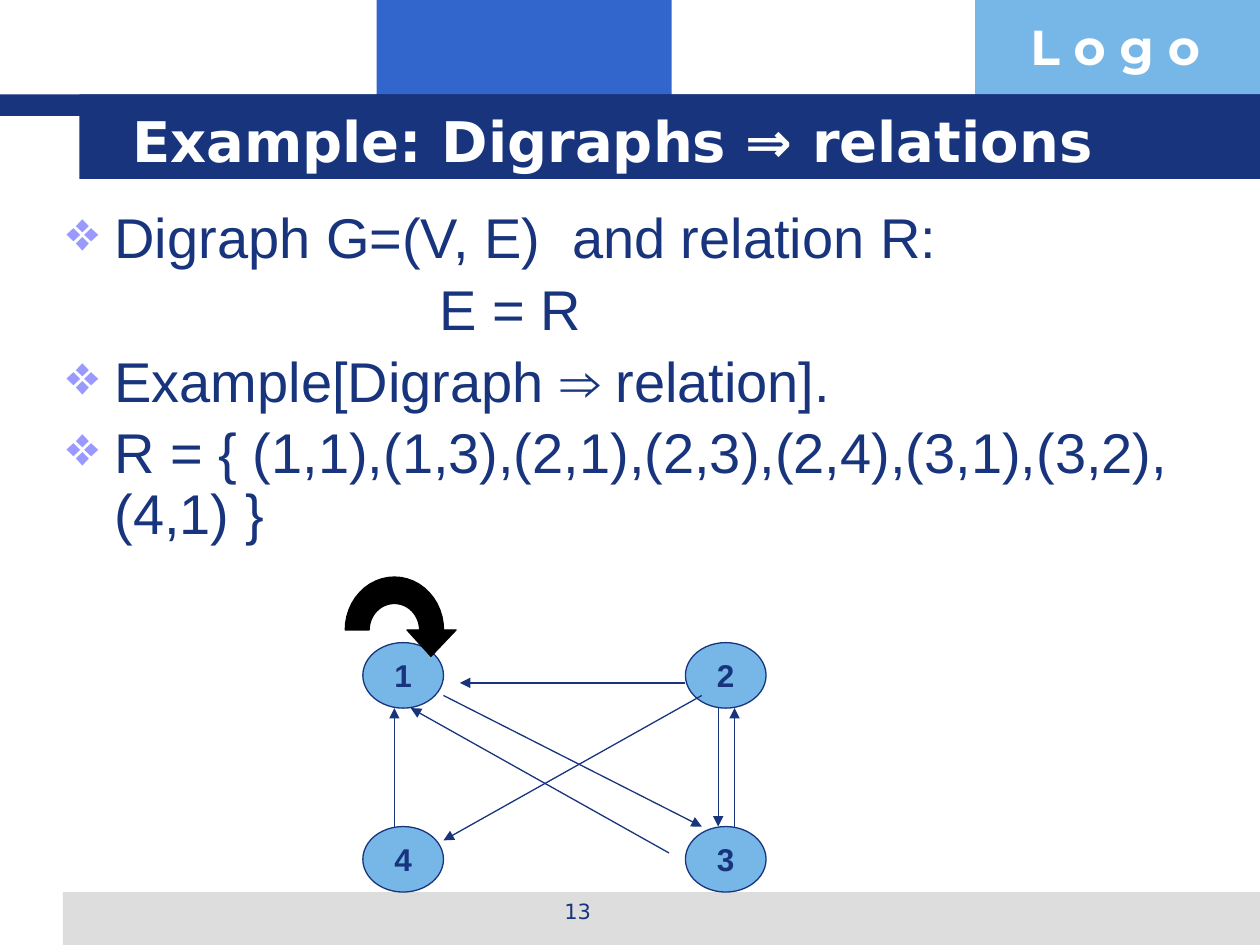
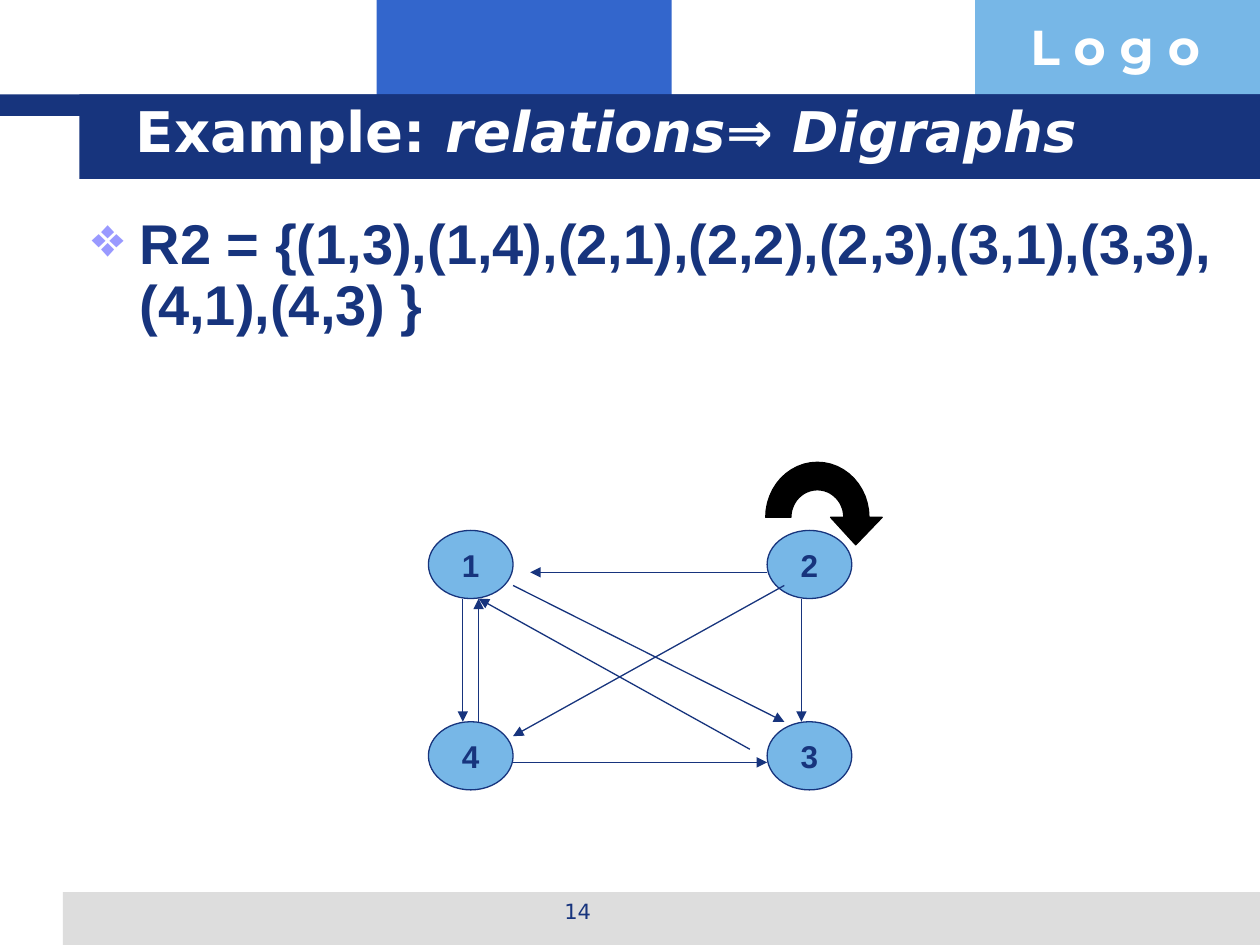
import math
import pptx
import pptx.dml.color
import pptx.enum.shapes
import pptx.enum.text
import pptx.oxml
import pptx.oxml.ns
import pptx.util
from pptx.util import Inches

COLORS = {"navy": "17347D", "blue": "3366CC", "sky": "77B7E7", "gray": "DDDDDD",
          "mark": "9999FF", "white": "FFFFFF", "black": "000000"}
SHAPE = pptx.enum.shapes.MSO_SHAPE
ALIGN = pptx.enum.text.PP_ALIGN
MIDDLE = pptx.enum.text.MSO_ANCHOR.MIDDLE
SPACE = "http://schemas.openxmlformats.org/drawingml/2006/main"

BANDS = [(2.99, 0, 2.34, 0.92, "blue"), (7.74, 0, 2.26, 0.92, "sky"),
         (0.5, 7.08, 9.5, 0.42, "gray"), (0, 0.75, 10, 0.17, "navy"),
         (0.63, 0.75, 9.37, 0.67, "navy")]
NODES = {"1": (0, 0), "2": (2.56, 0), "4": (0, 1.46), "3": (2.56, 1.46)}
EDGES = {"2-1": (2.56, 0.32, 0.77, 0.32), "2-3": (2.82, 0.52, 2.82, 1.46),
         "3-2": (2.95, 1.46, 2.95, 0.52), "1-3": (0.64, 0.42, 2.69, 1.46),
         "3-1": (2.43, 1.67, 0.38, 0.52), "2-4": (2.69, 0.42, 0.64, 1.57),
         "1-4": (0.26, 0.52, 0.26, 1.46), "4-3": (0.64, 1.77, 2.56, 1.77)}


def color(name):
    return pptx.dml.color.RGBColor.from_string(COLORS[name])


def element(text):
    return pptx.oxml.parse_xml(text.replace(" ", f' xmlns:a="{SPACE}" ', 1))


class Deck:
    def __init__(self):
        self.show = pptx.Presentation()
        self.show.slide_width, self.show.slide_height = Inches(10), Inches(7.5)

    def start(self, number, title, left, top):
        self.slide = self.show.slides.add_slide(self.show.slide_layouts[6])
        self.shapes = self.slide.shapes
        for *area, fill in BANDS:
            self.paint(self.shapes.add_shape(SHAPE.RECTANGLE, *map(Inches, area)), fill)
        logo = self.box(8.08, 0.08, 1.93, 0.57).paragraphs[0]
        self.label(logo, ["L o g o"], 28, "Montserrat", "white", True)
        page = self.box(3.42, 7.08, 2.33, 0.35).paragraphs[0]
        self.label(page, [str(number)], 12, "DejaVu Sans", align=ALIGN.CENTER)
        frame = self.box(left, top, 8.38, 0.62)
        frame.vertical_anchor = MIDDLE
        return self.label(frame.paragraphs[0], title, 32, "DejaVu Sans", "white", True)

    def paint(self, shape, fill, line=None):
        shape.shadow.inherit = False
        shape.fill.solid()
        shape.fill.fore_color.rgb = color(fill)
        if line:
            shape.line.color.rgb = color(line)
            shape.line.width = pptx.util.Pt(0.75)
        else:
            shape.line.fill.background()

    def box(self, *area):
        frame = self.shapes.add_textbox(*map(Inches, area)).text_frame
        frame.word_wrap = True
        return frame

    def label(self, para, parts, size, face="Arial", ink="navy", bold=False, align=None):
        for part in parts:
            para.add_run().text = part
        para.alignment = align
        font = para.font
        font.size, font.name, font.bold = pptx.util.Pt(size), face, bold
        font.color.rgb = color(ink)
        return para.runs

    def body(self, area, lines, bold=False):
        frame = self.box(*area)
        for index, (parts, indent) in enumerate(lines):
            para = frame.add_paragraph() if index else frame.paragraphs[0]
            props = para._p.get_or_add_pPr()
            if indent:
                props.set("marL", str(Inches(indent)))
            else:
                props.set("marL", str(Inches(0.38)))
                props.set("indent", str(-Inches(0.38)))
                props.append(element(f'<a:buClr ><a:srgbClr val="{COLORS["mark"]}"/></a:buClr>'))
                props.append(element('<a:buChar char="❖"/>'))
            para.line_spacing = 0.9
            if index:
                para.space_before = pptx.util.Pt(6.4)
            self.label(para, parts, 32, bold=bold)
        return frame

    def node(self, name, left, top, width, height):
        oval = self.shapes.add_shape(SHAPE.OVAL, *map(Inches, (left, top, width, height)))
        self.paint(oval, "sky", "navy")
        frame = oval.text_frame
        frame.word_wrap = False
        frame.vertical_anchor = MIDDLE
        self.label(frame.paragraphs[0], [name], 18, bold=True, align=ALIGN.CENTER)

    def arrow(self, *ends):
        kind = pptx.enum.shapes.MSO_CONNECTOR.STRAIGHT
        line = self.shapes.add_connector(kind, *map(Inches, ends))
        line.line.color.rgb = color("navy")
        line.line.width = pptx.util.Pt(0.75)
        props = line._element.spPr
        props.find(pptx.oxml.ns.qn("a:ln")).append(element('<a:tailEnd type="triangle"/>'))
        props.append(element("<a:effectLst />"))

    def loop(self, place):
        turns = [math.pi * step / 24 for step in range(25)]
        inner = [(0.2 * math.cos(t), -0.21 * math.sin(t)) for t in turns]
        outer = [(0.39 * math.cos(t), -0.42 * math.sin(t)) for t in reversed(turns)]
        head = [(0.49, 0), (0.29, 0.21), (0.1, 0)]
        points = [tuple(map(Inches, place(x, y))) for x, y in inner + outer + head]
        build = self.shapes.build_freeform(*points[0])
        build.add_line_segments(points[1:])
        self.paint(build.convert_to_shape(), "black", "black")

    def graph(self, left, top, wide, tall, edges, spot, shift):
        def place(x, y):
            return left + x * wide, top + y * tall

        for name, corner in NODES.items():
            self.node(name, *place(*corner), 0.64 * wide, 0.52 * tall)
        routes = EDGES | {"4-1": (shift, 1.46, shift, 0.52)}
        for edge in edges:
            x1, y1, x2, y2 = routes[edge]
            self.arrow(*place(x1, y1), *place(x2, y2))
        self.loop(lambda x, y: place(x + spot, y - 0.1))


def main():
    deck = Deck()
    deck.start(13, ["Example: Digraphs ⇒ relations"], 0.95, 0.8)
    frame = deck.body((0.43, 1.62, 9.58, 2.12), [
        (["Digraph G=(V, E)", " ", "and relation R:"], 0),
        (["E = R"], 2.96),
        (["Example[Digraph ⇒ relation]."], 0),
        (["R = { (1,1),(1,3),(2,1),(2,3),(2,4),(3,1),(3,2),(4,1) }"], 0)])
    gap = frame.paragraphs[0].runs[1]
    gap._r.get_or_add_rPr().set("spc", "890")
    deck.graph(2.88, 5.1, 1, 1, ["2-1", "2-3", "3-2", "1-3", "3-1", "2-4", "4-1"], 0.25, 0.25)

    runs = deck.start(14, ["Example: ", "relations⇒ Digraphs"], 0.98, 0.72)
    runs[1].font.italic = True
    deck.body((0.63, 1.67, 9.58, 1.5), [
        (["R2 = {(1,3),(1,4),(2,1),(2,2),(2,3),(3,1),(3,3),(4,1),(4,3) }"], 0)], True)
    deck.graph(3.4, 4.21, 1.05, 1.04,
               ["2-1", "2-3", "1-3", "3-1", "2-4", "4-1", "1-4", "4-3"], 2.94, 0.38)
    deck.show.save("out.pptx")


if __name__ == "__main__":
    main()
